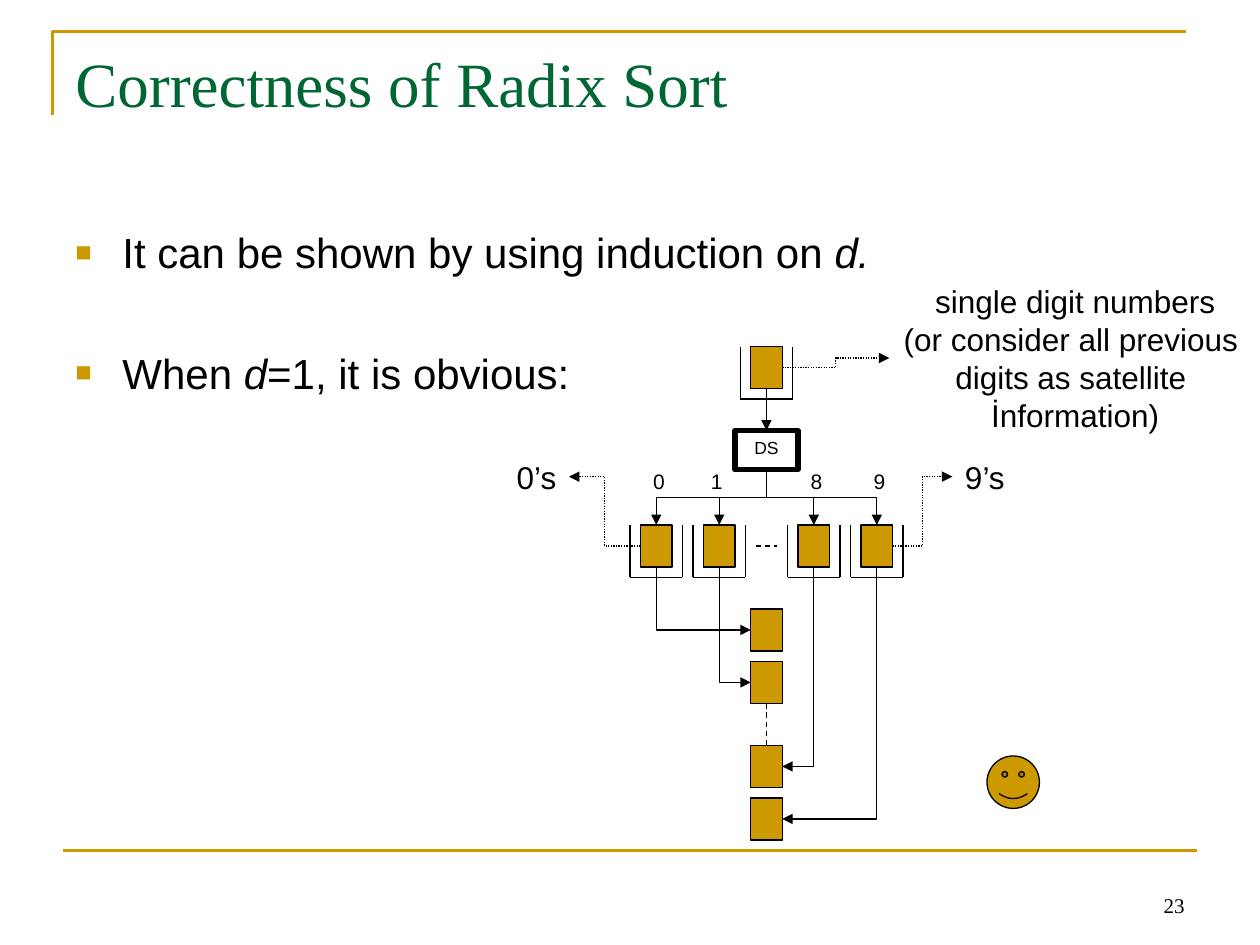
import lxml.etree
import pptx
import pptx.dml.color
import pptx.enum.dml
import pptx.enum.shapes
import pptx.enum.text
import pptx.oxml.ns
import pptx.util

Cm = pptx.util.Cm
Pt = pptx.util.Pt
color = pptx.dml.color.RGBColor.from_string
qn = pptx.oxml.ns.qn
SubElement = lxml.etree.SubElement
Align = pptx.enum.text.PP_ALIGN
Anchor = pptx.enum.text.MSO_ANCHOR
Connector = pptx.enum.shapes.MSO_CONNECTOR
Shape = pptx.enum.shapes.MSO_SHAPE
Dash = pptx.enum.dml.MSO_LINE

GOLD, GREEN, BLACK = "CC9900", "006633", "000000"
UNIT = 2.54 / 12

presentation = pptx.Presentation()
presentation.slide_width = Cm(25.4)
presentation.slide_height = Cm(19.05)
slide = presentation.slides.add_slide(presentation.slide_layouts[6])


def add_text(box, text, size, font="Arial", hex_color=BLACK, align=Align.CENTER, wrap=False):
    shape = slide.shapes.add_textbox(*[Cm(UNIT * value) for value in box])
    shape.text_frame.text = text
    shape.text_frame.word_wrap = wrap
    for paragraph in shape.text_frame.paragraphs:
        paragraph.alignment = align
        for run in paragraph.runs:
            run.font.size = Pt(size)
            run.font.name = font
            run.font.color.rgb = color(hex_color)
    return shape


def add_line(shapes, start, end, arrow=False, dash=None, hex_color=BLACK, width=0.75,
             elbow=False, downward=None, bend=None):
    (x1, y1), (x2, y2) = start, end
    if downward:
        middle_x, middle_y = (x1 + x2) / 2, (y1 + y2) / 2
        half_width, half_height = abs(y2 - y1) / 2, abs(x2 - x1) / 2
        x1, x2 = middle_x - half_width, middle_x + half_width
        y1, y2 = middle_y - half_height, middle_y + half_height
    kind = Connector.ELBOW if elbow or downward else Connector.STRAIGHT
    connector = shapes.add_connector(kind, *[Cm(UNIT * value) for value in (x1, y1, x2, y2)])
    properties = connector._element.spPr
    if downward:
        transform = properties.find(qn("a:xfrm"))
        geometry = properties.find(qn("a:prstGeom"))
        geometry.set("prst", downward)
        if end[0] > start[0]:
            transform.set("rot", "16200000")
            transform.set("flipH", "1")
        else:
            transform.set("rot", "5400000")
        if bend:
            guide = SubElement(geometry.find(qn("a:avLst")), qn("a:gd"))
            guide.set("name", "adj1")
            guide.set("fmla", f"val {bend}")
    connector.line.color.rgb = color(hex_color)
    connector.line.width = Pt(width)
    if dash:
        connector.line.dash_style = dash
    if arrow:
        SubElement(properties.find(qn("a:ln")), qn("a:tailEnd")).set("type", "triangle")
    SubElement(properties, qn("a:effectLst"))
    return connector


builder = slide.shapes.build_freeform(Cm(UNIT * 5), Cm(UNIT * 11))
builder.add_line_segments([(Cm(UNIT * x), Cm(UNIT * 3)) for x in (5, 113)], close=False)
frame = builder.convert_to_shape()
frame.shadow.inherit = False
frame.fill.background()
frame.line.color.rgb = color(GOLD)
frame.line.width = Pt(1.5)
add_line(slide.shapes, (6, 81), (114, 81), hex_color=GOLD, width=1.5)

number = add_text((86, 82, 28, 6), "23", 12, "Times New Roman", align=Align.RIGHT, wrap=True)
number.text_frame.vertical_anchor = Anchor.BOTTOM
add_text((6, 3.6, 108, 15), "Correctness of Radix Sort", 36, "Times New Roman", GREEN, Align.LEFT, True)

body = add_text((6, 21, 108, 59.4), "", 24, align=Align.LEFT, wrap=True).text_frame
bullets = [
    (3, [("It can be shown by using induction on ", False), ("d.", True)]),
    (40, [("When ", False), ("d", True), ("=1, it is obvious:", False)]),
]
for index, (space, pieces) in enumerate(bullets):
    paragraph = body.add_paragraph() if index else body.paragraphs[0]
    paragraph.space_before = Pt(space)
    for text, italic in pieces:
        run = paragraph.add_run()
        run.text = text
        run.font.size = Pt(24)
        run.font.name = "Arial"
        run.font.italic = italic
        run.font.color.rgb = color(BLACK)
    properties = paragraph._p.get_or_add_pPr()
    properties.set("marL", str(Cm(0.95)))
    properties.set("indent", str(-Cm(0.95)))
    SubElement(SubElement(properties, qn("a:buClr")), qn("a:srgbClr")).set("val", GOLD)
    SubElement(properties, qn("a:buSzPct")).set("val", "65000")
    SubElement(properties, qn("a:buFont")).set("typeface", "Arial")
    SubElement(properties, qn("a:buChar")).set("char", "■")

tray_lefts = [60, 66, 75, 81]
trays = [(70.5, 33)] + [(left, 50) for left in tray_lefts]
result_tops = [58, 63, 71, 76]

for left, top in trays:
    tray = slide.shapes.add_group_shape()
    corners = [(left, top), (left, top + 5), (left + 5, top + 5), (left + 5, top)]
    for start, end in zip(corners, corners[1:]):
        add_line(tray.shapes, start, end)

filled = [(Shape.RECTANGLE, left + 1, top, 3, 4) for left, top in trays]
filled += [(Shape.RECTANGLE, 71.5, top, 3, 4) for top in result_tops]
filled.append((Shape.SMILEY_FACE, 94, 72, 5, 5))
shapes = []
for kind, *box in filled:
    shape = slide.shapes.add_shape(kind, *[Cm(UNIT * value) for value in box])
    shape.shadow.inherit = False
    shape.fill.solid()
    shape.fill.fore_color.rgb = color(GOLD)
    shape.line.color.rgb = color(BLACK)
    shape.line.width = Pt(0.75)
    shapes.append(shape)
source = shapes[0]
results = shapes[5:9]

sorter = slide.shapes.add_shape(Shape.RECTANGLE, *[Cm(UNIT * value) for value in (70, 41, 6, 3.75)])
sorter.shadow.inherit = False
sorter.fill.background()
sorter.line.color.rgb = color(BLACK)
sorter.line.width = Pt(3)
sorter.text_frame.text = "DS"
sorter.text_frame.vertical_anchor = Anchor.TOP
paragraph = sorter.text_frame.paragraphs[0]
paragraph.alignment = Align.CENTER
paragraph.runs[0].font.size = Pt(10)
paragraph.runs[0].font.name = "Arial"
paragraph.runs[0].font.color.rgb = color(BLACK)

feed = add_line(slide.shapes, (73, 37), (73, 41), arrow=True)
feed.begin_connect(source, 2)
feed.end_connect(sorter, 0)
gap = add_line(slide.shapes, (73, 67), (73, 71), dash=Dash.DASH)
gap.begin_connect(results[1], 2)
gap.end_connect(results[2], 0)
add_line(slide.shapes, (72, 52), (74, 52), dash=Dash.DASH)

for left, top in zip(tray_lefts, result_tops):
    center = left + 2.5
    side = 71.5 if center < 73 else 74.5
    add_line(slide.shapes, (73, 45), (center, 50), arrow=True, downward="bentConnector3", bend=47500)
    add_line(slide.shapes, (center, 54), (side, top + 2), arrow=True, downward="bentConnector2")

for start, end in [((74.5, 35), (84.7, 34.1)), ((61, 52), (54.2, 45.4)), ((85, 52), (90.7, 45.4))]:
    add_line(slide.shapes, start, end, arrow=True, dash=Dash.ROUND_DOT, elbow=True)

for digit, left in zip("0189", [61, 66.5, 76, 82]):
    add_text((left, 44, 3.5, 3.6), digit, 12)
for text, left in [("0’s", 48), ("9’s", 90.7)]:
    add_text((left, 43, 6.2, 4.8), text, 18)
note = "single digit numbers\n(or consider all previous \ndigits as satellite \nİnformation)"
add_text((84.7, 26.3, 35.4, 15.7), note, 18)

presentation.save("out.pptx")
